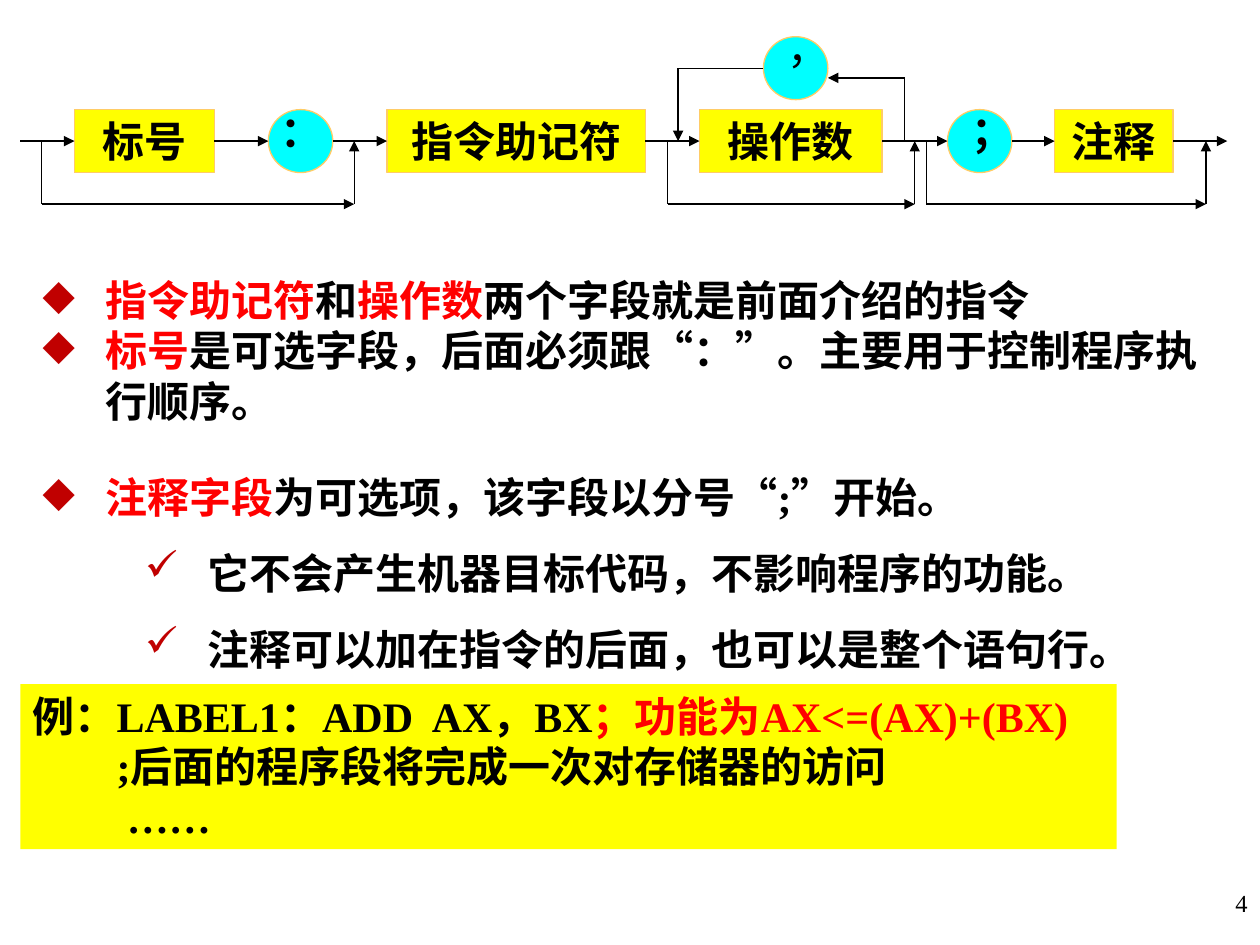
from itertools import pairwise

from lxml.etree import SubElement
from pptx import Presentation
from pptx.dml.color import RGBColor
from pptx.enum.shapes import MSO_CONNECTOR, MSO_SHAPE
from pptx.enum.text import MSO_ANCHOR, PP_ALIGN
from pptx.oxml.ns import qn
from pptx.util import Cm, Pt

BLACK = RGBColor(0x00, 0x00, 0x00)
WHITE = RGBColor(0xFF, 0xFF, 0xFF)
RED = RGBColor(0xFF, 0x00, 0x00)
DARK_RED = RGBColor(0xC0, 0x00, 0x00)
YELLOW = RGBColor(0xFF, 0xFF, 0x00)
CYAN = RGBColor(0x00, 0xFF, 0xFF)
ORANGE = RGBColor(0xFF, 0xCC, 0x66)
FONT = "Times New Roman"


def write(para, spans, size=24, bold=True):
    para.font.name = FONT
    para.font.size = Pt(size)
    para.font.bold = bold
    for text, color in spans:
        span = para.add_run()
        span.text = text
        span.font.color.rgb = color


def indent(para, left, first=0):
    properties = para._p.get_or_add_pPr()
    properties.set("marL", str(Cm(left)))
    properties.set("indent", str(Cm(first)))
    return properties


def add_bullet(para, symbol, left):
    properties = indent(para, left, -1.27)
    color = SubElement(properties, qn("a:buClr"))
    SubElement(color, qn("a:srgbClr"), val=str(DARK_RED))
    SubElement(properties, qn("a:buChar"), char=symbol)


def add_text_box(page, left, top, width, height, fill=None):
    box = page.shapes.add_textbox(Cm(left), Cm(top), Cm(width), Cm(height))
    box.text_frame.word_wrap = True
    if fill is not None:
        box.fill.solid()
        box.fill.fore_color.rgb = fill
    return box.text_frame


def add_node(page, kind, left, top, width, height, fill):
    node = page.shapes.add_shape(kind, Cm(left), Cm(top), Cm(width), Cm(height))
    node.shadow.inherit = False
    node.fill.solid()
    node.fill.fore_color.rgb = fill
    node.line.color.rgb = ORANGE
    node.line.width = Pt(0.75)
    return node.text_frame


def add_route(page, points, arrows):
    for (start, end), arrow in zip(pairwise(points), arrows):
        line = page.shapes.add_connector(
            MSO_CONNECTOR.STRAIGHT, *(Cm(value) for value in start + end))
        line.line.color.rgb = BLACK
        line.line.width = Pt(0.75)
        if arrow:
            SubElement(line.line._get_or_add_ln(), qn("a:tailEnd"), type="triangle")
        SubElement(line._element.spPr, qn("a:effectLst"))


def add_syntax_diagram(page, left, top, width):
    size, diameter = 1.27, 1.3
    row = top + 1.47
    middle = row + size / 2

    fields = [("标号", 1.09, 2.82), ("指令助记符", 7.39, 5.21),
              ("操作数", 13.69, 3.68), ("注释", 20.85, 2.39)]
    for text, x, field_width in fields:
        frame = add_node(page, MSO_SHAPE.RECTANGLE, left + x, row,
                         field_width, size, YELLOW)
        frame.word_wrap = False
        frame.vertical_anchor = MSO_ANCHOR.MIDDLE
        para = frame.paragraphs[0]
        para.alignment = PP_ALIGN.CENTER
        write(para, [(text, BLACK)])

    separators = [("；", 18.69, row, 0.23, -0.2, True),
                  ("：", 5.0, row, 0, -0.2, True),
                  ("，", 14.98, top, 0.23, -0.41, False)]
    for text, x, y, shift_x, shift_y, bold in separators:
        add_node(page, MSO_SHAPE.OVAL, left + x, y, diameter, size, CYAN)
        frame = add_text_box(page, left + x + shift_x, y + shift_y, diameter, diameter)
        write(frame.paragraphs[0], [(text, BLACK)], bold=bold)

    stations = [(0, 0), *((x, x + w) for _, x, w in fields),
                *((x, x + diameter) for _, x, y, *_ in separators if y == row),
                (width, width)]
    for before, after in pairwise(sorted(stations)):
        add_route(page, [(left + before[1], middle), (left + after[0], middle)], [True])

    for start, end in [(0.43, 6.73), (13.05, 18.03), (18.26, 23.9)]:
        x0, x1, low = left + start, left + end, middle + size
        add_route(page, [(x0, middle), (x0, low), (x1, low), (x1, middle)],
                  [False, True, True])

    back, entry, comma = left + 17.83, left + 13.26, left + 14.98
    add_route(page, [(back, middle), (back, top + 0.83), (comma + diameter, top + 0.83)],
              [False, True])
    add_route(page, [(comma, top + size / 2), (entry, top + size / 2), (entry, middle)],
              [False, True])


def add_explanation(page, left, top, width, height):
    frame = add_text_box(page, left, top, width, height, WHITE)
    items = [
        (0, 1.5, 0, [("指令助记符", RED), ("和", BLACK), ("操作数", RED),
                     ("两个字段就是前面介绍的指令", BLACK)]),
        (0, 1.0, 12, [("标号", RED),
                      ("是可选字段，后面必须跟“：”。主要用于控制程序执行顺序。", BLACK)]),
        (0, 1.5, 0, [("注释字段", RED), ("为可选项，该字段以分号“;”开始。", BLACK)]),
        (1, 1.5, 0, [("它不会产生机器目标代码，不影响程序的功能。", BLACK)]),
        (1, 1.5, 0, [("注释可以加在指令的后面，也可以是整个语句行。", BLACK)]),
    ]
    for index, (level, spacing, after, spans) in enumerate(items):
        para = frame.add_paragraph() if index else frame.paragraphs[0]
        add_bullet(para, "◆✓"[level], (1.27, 3.33)[level])
        para.level = level
        para.line_spacing = spacing
        para.space_before = Pt(0)
        para.space_after = Pt(after)
        write(para, spans)


def add_example(page, left, top, width, height):
    frame = add_text_box(page, left, top, width, height, YELLOW)
    lines = [
        (0, [("例：LABEL1：ADD  AX，BX", BLACK), ("；功能为AX<=(AX)+(BX)", RED)]),
        (1.69, [(";后面的程序段将完成一次对存储器的访问", BLACK)]),
        (1.9, [("……", BLACK)]),
    ]
    for index, (margin, spans) in enumerate(lines):
        para = frame.add_paragraph() if index else frame.paragraphs[0]
        indent(para, margin)
        write(para, spans)


def add_page_number(page, left, top, width, height):
    para = add_text_box(page, left, top, width, height).paragraphs[0]
    para.alignment = PP_ALIGN.RIGHT
    write(para, [("4", BLACK)], size=14, bold=False)


def main():
    deck = Presentation()
    deck.slide_width, deck.slide_height = Cm(25.4), Cm(19.05)
    page = deck.slides.add_slide(deck.slide_layouts[6])
    add_page_number(page, 23.5, 17.78, 1.9, 1.27)
    add_explanation(page, 0.61, 4.9, 24.41, 8.89)
    add_syntax_diagram(page, 0.41, 0.74, 24.33)
    add_example(page, 0.41, 13.79, 22.1, 3.33)
    deck.save("out.pptx")


if __name__ == "__main__":
    main()
